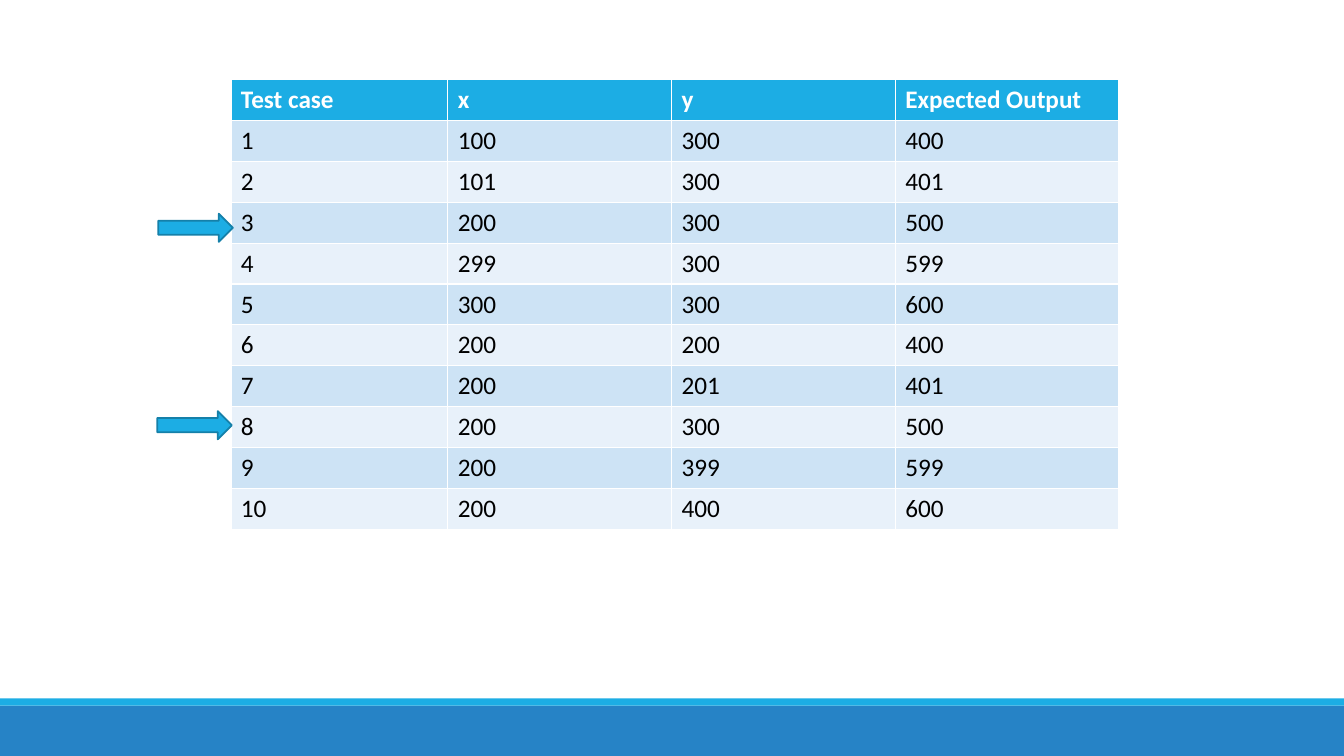
from pptx import Presentation
from pptx import util as u
from pptx.dml.color import RGBColor
from pptx.enum import shapes

CYAN = RGBColor(0x1C, 0xAD, 0xE4)
BLUE = RGBColor(0x26, 0x83, 0xC6)
EDGE = RGBColor(0x15, 0x80, 0xA9)
BANDS = RGBColor(0xE8, 0xF1, 0xFA), RGBColor(0xCD, 0xE3, 0xF5)
WHITE = RGBColor(255, 255, 255)
BLACK = RGBColor(0, 0, 0)

WIDE, HIGH = 13.33, 7.5
HEAD = ("Test case", "x", "y", "Expected Output")
INPUTS = [(100, 300), (101, 300), (200, 300), (299, 300), (300, 300),
          (200, 200), (200, 201), (200, 300), (200, 399), (200, 400)]
COLS = (2.15, 2.22, 2.22, 2.22)
ROW = 4.46 / (len(INPUTS) + 1)
# Left and top of each arrow: inches from the table's edge, rows from its top
MARKS = [(-0.72, 3.28), (-0.73, 8.11)]


def add_block(slide, kind, box, fill, edge=None):
    block = slide.shapes.add_shape(kind, *map(u.Inches, box))
    block.shadow.inherit = False
    block.fill.solid()
    block.fill.fore_color.rgb = fill
    if edge:
        block.line.color.rgb = edge
        block.line.width = u.Pt(1.25)
    else:
        block.line.fill.background()


def add_footer(slide, top, strip):
    """Draw the band from top to the slide's foot, with a thin strip above."""
    rect = shapes.MSO_SHAPE.RECTANGLE
    add_block(slide, rect, (0, top, WIDE, HIGH - top), BLUE)
    add_block(slide, rect, (0, top - strip, WIDE, strip), CYAN)


def fill_cell(cell, value, row):
    head = row == 0
    cell.fill.solid()
    cell.fill.fore_color.rgb = CYAN if head else BANDS[row % 2]
    run = cell.text_frame.paragraphs[0].add_run()
    run.text = str(value)
    run.font.name = "Calibri"
    run.font.size = u.Pt(18)
    run.font.bold = head
    run.font.color.rgb = WHITE if head else BLACK


def add_cases(slide, left, top):
    """Draw the table of test cases; each expected output is x + y."""
    rows = [HEAD] + [(n, x, y, x + y) for n, (x, y) in enumerate(INPUTS, 1)]
    box = left, top, sum(COLS), ROW * len(rows)
    table = slide.shapes.add_table(
        len(rows), len(COLS), *map(u.Inches, box)).table
    for col, width in zip(table.columns, COLS):
        col.width = u.Inches(width)
    for r, values in enumerate(rows):
        table.rows[r].height = u.Inches(ROW)
        for c, value in enumerate(values):
            fill_cell(table.cell(r, c), value, r)


def add_marks(slide, left, top):
    for shift, row in MARKS:
        add_block(slide, shapes.MSO_SHAPE.RIGHT_ARROW,
                  (left + shift, top + row * ROW, 0.74, 0.28), CYAN, EDGE)


def main():
    deck = Presentation()
    deck.slide_width, deck.slide_height = u.Inches(WIDE), u.Inches(HIGH)
    slide = deck.slides.add_slide(deck.slide_layouts[6])
    add_footer(slide, 7, 0.07)
    add_cases(slide, 2.29, 0.79)
    add_marks(slide, 2.29, 0.79)
    deck.save("out.pptx")


if __name__ == "__main__":
    main()
